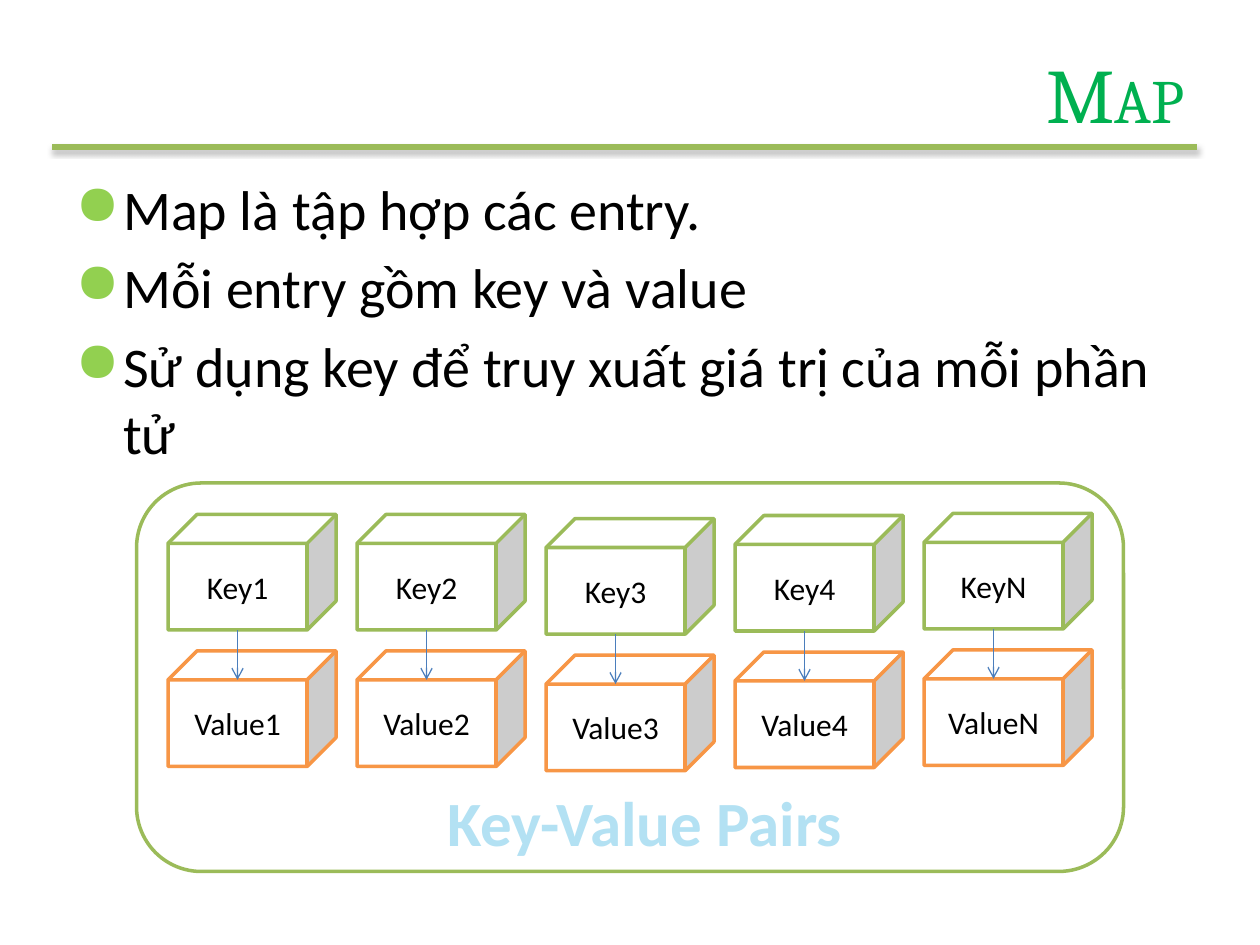
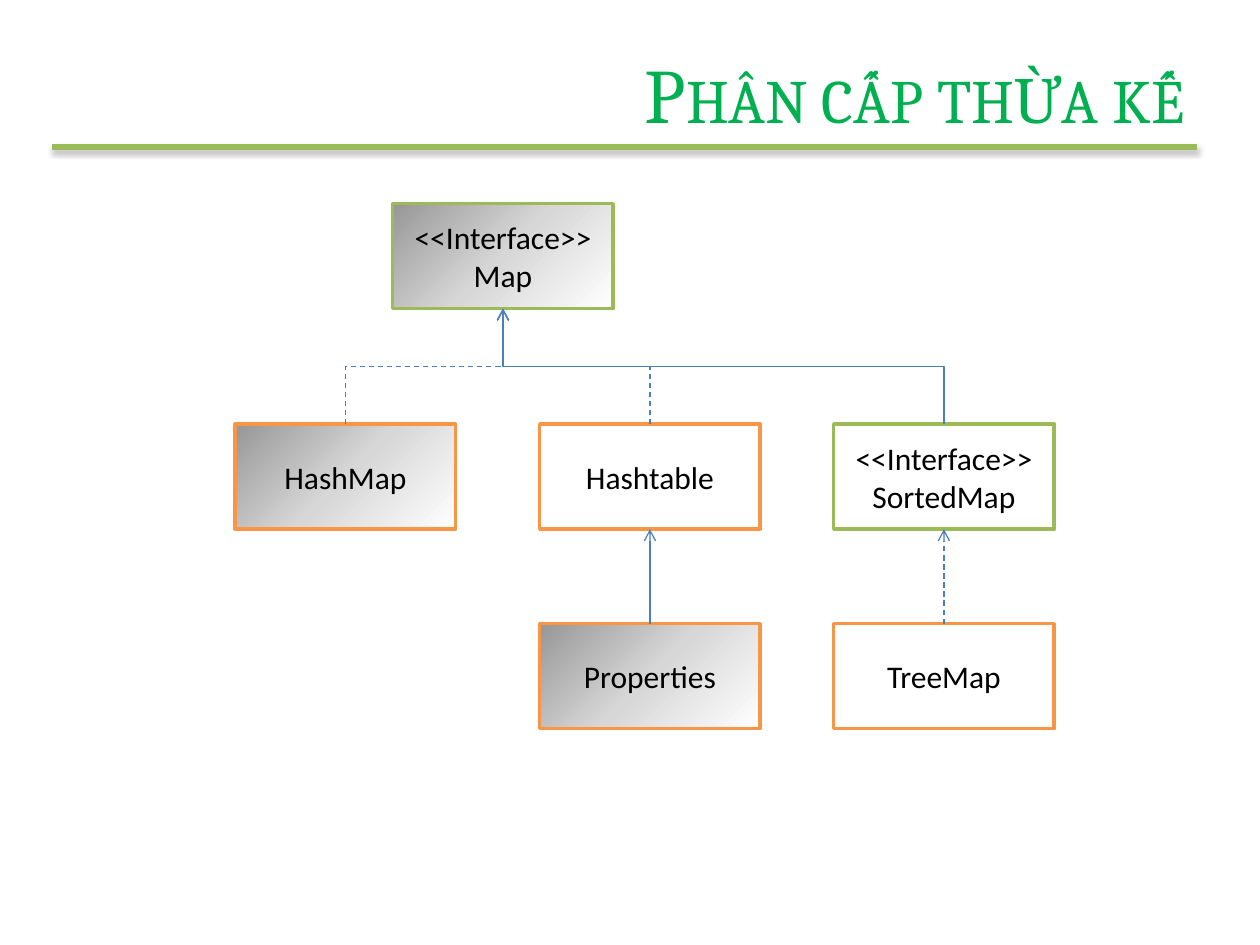
from dataclasses import dataclass
from typing import Any, NamedTuple, Optional

from lxml.etree import SubElement
from pptx import Presentation
from pptx.dml.color import RGBColor
from pptx.enum.dml import MSO_LINE
from pptx.enum.shapes import MSO_CONNECTOR, MSO_SHAPE
from pptx.enum.text import MSO_ANCHOR, MSO_AUTO_SIZE, PP_ALIGN
from pptx.oxml.ns import qn
from pptx.util import Inches, Pt


@dataclass(frozen=True)
class Theme:
    title: str = "00B050"
    green: str = "9BBB59"
    orange: str = "F79646"
    arrow: str = "4B7EBC"
    bullet: str = "92D050"
    caption: str = "B3E1F3"
    text: str = "000000"
    paper: str = "FFFFFF"
    gradient: tuple = ((0, "979797"), (50, "D7D7D7"), (100, "FFFFFF"))
    heading_font: str = "Cambria"
    body_font: str = "Calibri"
    title_size: float = 44
    caption_size: float = 36
    body_size: float = 32
    label_size: float = 18
    rule_width: float = 3
    outline_width: float = 2
    arrow_width: float = 0.75


class Area(NamedTuple):
    column: float
    row: float
    columns: float
    rows: float

    @property
    def center(self) -> float:
        return self.column + self.columns / 2

    @property
    def bottom(self) -> float:
        return self.row + self.rows


class Point(NamedTuple):
    column: float
    row: float


class Pair(NamedTuple):
    suffix: str
    drop: float


@dataclass(frozen=True)
class TypeBox:
    name: str
    column: float
    row: float
    outline: str
    shaded: bool = False
    interface: bool = False

    @property
    def area(self) -> Area:
        return Area(self.column, self.row, 21, 10)

    @property
    def lines(self) -> list[str]:
        return ["<<Interface>>", self.name] if self.interface else [self.name]


class Inheritance(NamedTuple):
    child: str
    parent: str
    dashed: bool


THEME = Theme()
SLIDE_WIDTH, SLIDE_HEIGHT = Inches(10), Inches(7.5)
GRID_COLUMNS = 120
CELL = SLIDE_WIDTH / GRID_COLUMNS

TITLE_AREA = Area(17.4, 3.6, 96.6, 10.4)
BODY_AREA = Area(6, 16, 108, 64.4)
PANEL_AREA = Area(13, 46, 94, 37)
CAPTION_AREA = Area(41, 74, 40.8, 8.5)
RULE_START, RULE_END = Point(5, 14), Point(114, 14)

CUBE_COLUMNS, CUBE_ROWS = 16, 11
CUBE_DEPTH = CUBE_ROWS / 4
FIRST_CUBE = Point(16, 49)
PAIR_STEP, VALUE_STEP = 18, 13

BULLETS = [
    "Map là tập hợp các entry.",
    "Mỗi entry gồm key và value",
    "Sử dụng key để truy xuất giá trị của mỗi phần tử",
]
PAIRS = [Pair("1", 0), Pair("2", 0), Pair("3", 0.4), Pair("4", 0.1), Pair("N", -0.1)]
TYPE_BOXES = [
    TypeBox("Map", 37.4, 19.4, THEME.green, shaded=True, interface=True),
    TypeBox("HashMap", 22.4, 40.4, THEME.orange, shaded=True),
    TypeBox("Hashtable", 51.4, 40.4, THEME.orange),
    TypeBox("Properties", 51.4, 59.4, THEME.orange, shaded=True),
    TypeBox("SortedMap", 79.4, 40.4, THEME.green, interface=True),
    TypeBox("TreeMap", 79.4, 59.4, THEME.orange),
]
INHERITANCES = [
    Inheritance("HashMap", "Map", True),
    Inheritance("Hashtable", "Map", True),
    Inheritance("Properties", "Hashtable", False),
    Inheritance("TreeMap", "SortedMap", True),
    Inheritance("SortedMap", "Map", False),
]


def cells(count: float) -> int:
    return round(count * CELL)


def set_values(target: Any, values: dict[str, Any]) -> None:
    for name, value in values.items():
        setattr(target, name, value)


def place(shape: Any, area: Area) -> None:
    names = ("left", "top", "width", "height")
    set_values(shape, dict(zip(names, map(cells, area))))


def write(shape: Any, lines: list[str], font: dict[str, Any], color: str,
          alignment: PP_ALIGN, frame: dict[str, Any]) -> None:
    text_frame = shape.text_frame
    set_values(text_frame, {"word_wrap": True, "auto_size": MSO_AUTO_SIZE.NONE} | frame)
    for index, line in enumerate(lines):
        paragraph = text_frame.paragraphs[0] if index == 0 else text_frame.add_paragraph()
        paragraph.alignment = alignment
        run = paragraph.add_run()
        run.text = line
        set_values(run.font, font)
        run.font.color.rgb = RGBColor.from_string(color)


def set_line(line: Any, color: str, width: float) -> None:
    line.color.rgb = RGBColor.from_string(color)
    line.width = Pt(width)


def add_gradient(shape: Any) -> None:
    shape.fill.gradient()
    gradient = shape.element.spPr.find(qn("a:gradFill"))
    for child in list(gradient):
        gradient.remove(child)
    stops = SubElement(gradient, qn("a:gsLst"))
    for position, color in THEME.gradient:
        stop = SubElement(stops, qn("a:gs"), pos=str(position * 1000))
        SubElement(stop, qn("a:srgbClr"), val=color)
    SubElement(gradient, qn("a:lin"), ang=str(45 * 60000), scaled="0")


def add_box(slide: Any, kind: MSO_SHAPE, area: Area, outline: str,
            lines: Optional[list[str]] = None, shaded: bool = False) -> None:
    shape = slide.shapes.add_shape(kind, *map(cells, area))
    shape.shadow.inherit = False
    if shaded:
        add_gradient(shape)
    else:
        shape.fill.solid()
        shape.fill.fore_color.rgb = RGBColor.from_string(THEME.paper)
    set_line(shape.line, outline, THEME.outline_width)
    if lines:
        write(shape, lines, {"name": THEME.body_font, "size": Pt(THEME.label_size)},
              THEME.text, PP_ALIGN.CENTER, {"vertical_anchor": MSO_ANCHOR.MIDDLE})


def add_line(slide: Any, kind: MSO_CONNECTOR, start: Point, end: Point,
             color: str, width: float) -> Any:
    connector = slide.shapes.add_connector(kind, *map(cells, (*start, *end)))
    set_line(connector.line, color, width)
    SubElement(connector.element.spPr, qn("a:effectLst"))
    return connector


def add_arrow(slide: Any, start: Point, end: Point, dashed: bool = False) -> None:
    if start.column == end.column:
        connector = add_line(slide, MSO_CONNECTOR.STRAIGHT, start, end,
                             THEME.arrow, THEME.arrow_width)
    else:
        middle = Point((start.column + end.column) / 2, (start.row + end.row) / 2)
        half_rise = (start.row - end.row) / 2
        half_run = (end.column - start.column) / 2
        connector = add_line(slide, MSO_CONNECTOR.ELBOW,
                             Point(middle.column - half_rise, middle.row - half_run),
                             Point(middle.column + half_rise, middle.row + half_run),
                             THEME.arrow, THEME.arrow_width)
        connector.element.spPr.find(qn("a:xfrm")).set("rot", str(270 * 60000))
    if dashed:
        connector.line.dash_style = MSO_LINE.DASH
    SubElement(connector.element.spPr.find(qn("a:ln")), qn("a:tailEnd"), type="arrow")


def add_rule(slide: Any) -> None:
    rule = add_line(slide, MSO_CONNECTOR.STRAIGHT, RULE_START, RULE_END,
                    THEME.green, THEME.rule_width)
    shadow = SubElement(rule.element.spPr.find(qn("a:effectLst")), qn("a:outerShdw"),
                        blurRad=str(Pt(3.1)), dist=str(Pt(1.8)),
                        dir=str(90 * 60000), rotWithShape="0")
    color = SubElement(shadow, qn("a:srgbClr"), val=THEME.text)
    SubElement(color, qn("a:alpha"), val="35000")


def add_titled_slide(presentation: Any, title: str) -> Any:
    slide = presentation.slides.add_slide(presentation.slide_layouts[5])
    add_rule(slide)
    shape = slide.shapes.title
    place(shape, TITLE_AREA)
    write(shape, [title], {"name": THEME.heading_font, "size": Pt(THEME.title_size)},
          THEME.title, PP_ALIGN.RIGHT, {"vertical_anchor": MSO_ANCHOR.MIDDLE})
    shape.text_frame.paragraphs[0].runs[0].font._element.set("cap", "small")
    return slide


def add_bullets(slide: Any) -> None:
    shape = slide.shapes.add_textbox(*map(cells, BODY_AREA))
    write(shape, BULLETS, {"name": THEME.body_font, "size": Pt(THEME.body_size)},
          THEME.text, PP_ALIGN.LEFT, {"vertical_anchor": MSO_ANCHOR.TOP})
    for paragraph in shape.text_frame.paragraphs:
        paragraph.space_before = Pt(THEME.body_size * 0.2)
        properties = paragraph._p.get_or_add_pPr()
        set_indent = {"marL": Inches(0.38), "indent": -Inches(0.38)}
        for name, value in set_indent.items():
            properties.set(name, str(value))
        bullet_color = SubElement(properties, qn("a:buClr"))
        SubElement(bullet_color, qn("a:srgbClr"), val=THEME.bullet)
        SubElement(properties, qn("a:buChar"), char="●")


def add_pair(slide: Any, index: int, pair: Pair) -> None:
    key = Area(FIRST_CUBE.column + index * PAIR_STEP, FIRST_CUBE.row + pair.drop,
               CUBE_COLUMNS, CUBE_ROWS)
    value = key._replace(row=key.row + VALUE_STEP)
    add_box(slide, MSO_SHAPE.CUBE, key, THEME.green, [f"Key{pair.suffix}"])
    add_box(slide, MSO_SHAPE.CUBE, value, THEME.orange, [f"Value{pair.suffix}"])
    front_center = key.column + (CUBE_COLUMNS - CUBE_DEPTH) / 2
    add_arrow(slide, Point(front_center, key.bottom),
              Point(front_center, value.row + CUBE_DEPTH))


def build_map_slide(presentation: Any) -> None:
    slide = add_titled_slide(presentation, "Map")
    add_box(slide, MSO_SHAPE.FLOWCHART_ALTERNATE_PROCESS, PANEL_AREA, THEME.green)
    add_bullets(slide)
    for index, pair in enumerate(PAIRS):
        add_pair(slide, index, pair)
    caption = slide.shapes.add_textbox(*map(cells, CAPTION_AREA))
    write(caption, ["Key-Value Pairs"],
          {"name": THEME.body_font, "size": Pt(THEME.caption_size), "bold": True},
          THEME.caption, PP_ALIGN.CENTER,
          {"word_wrap": False, "auto_size": MSO_AUTO_SIZE.SHAPE_TO_FIT_TEXT})


def build_hierarchy_slide(presentation: Any) -> None:
    slide = add_titled_slide(presentation, "Phân cấp thừa kế")
    areas = {box.name: box.area for box in TYPE_BOXES}
    for box in TYPE_BOXES:
        add_box(slide, MSO_SHAPE.FLOWCHART_PROCESS, box.area, box.outline,
                box.lines, box.shaded)
    for link in INHERITANCES:
        child, parent = areas[link.child], areas[link.parent]
        add_arrow(slide, Point(child.center, child.row),
                  Point(parent.center, parent.bottom), link.dashed)


def main() -> None:
    presentation = Presentation()
    set_values(presentation, {"slide_width": SLIDE_WIDTH, "slide_height": SLIDE_HEIGHT})
    build_map_slide(presentation)
    build_hierarchy_slide(presentation)
    presentation.save("out.pptx")


main()
